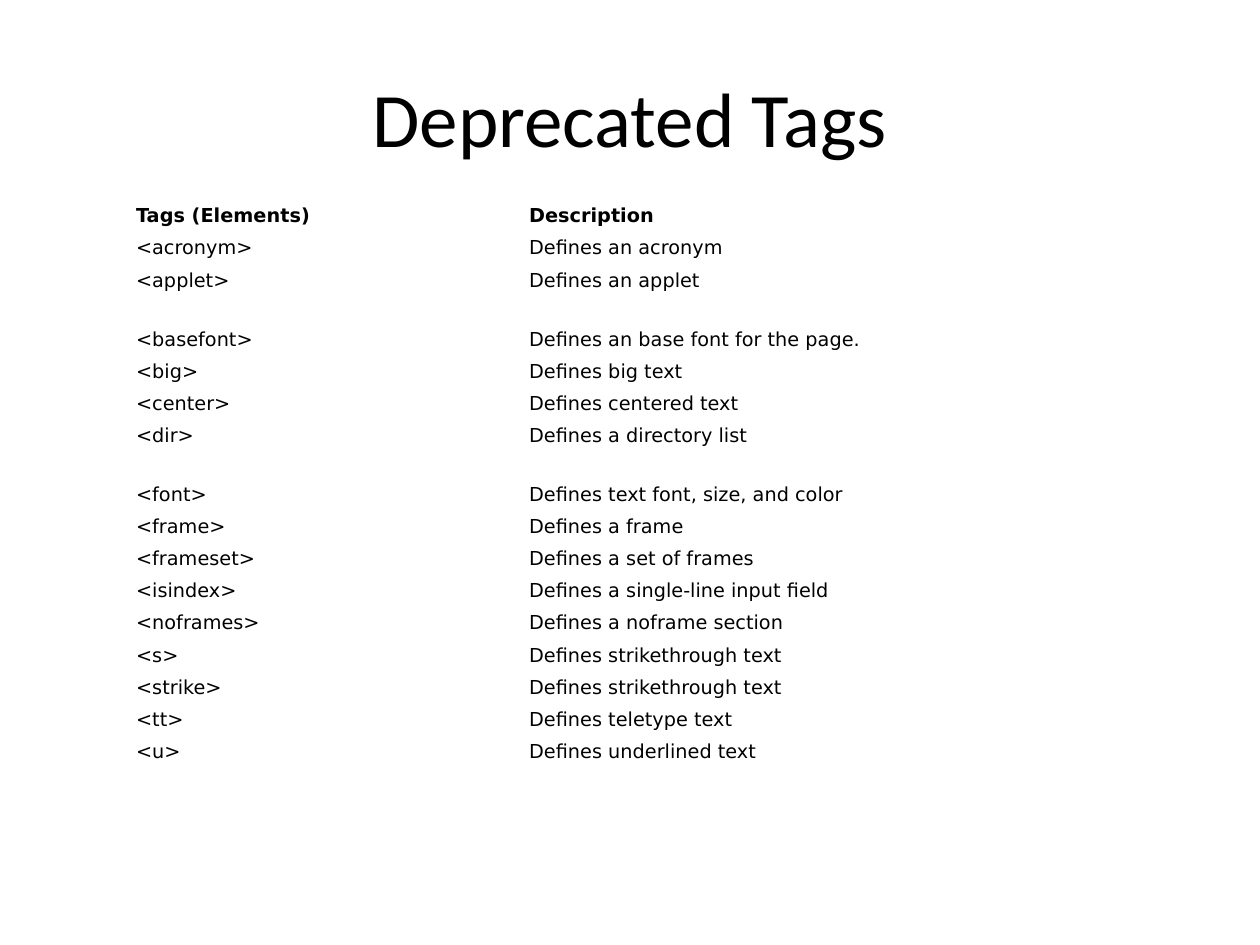
"""Build the slide that lists deprecated HTML tags."""
from dataclasses import dataclass

from pptx import Presentation
from pptx.dml.color import RGBColor
from pptx.enum.text import MSO_ANCHOR, PP_ALIGN
from pptx.util import Inches, Pt


@dataclass(frozen=True)
class Theme:
    text_color: RGBColor = RGBColor(0, 0, 0)
    background: RGBColor = RGBColor(255, 255, 255)
    title_font: str = "Calibri"
    title_size: int = 44
    table_font: str = "DejaVu Sans"
    table_size: int = 11
    cell_margin: float = 0.01


HEADER = ("Tags (Elements)", "Description")
TAGS = [
    ("<acronym>", "Defines an acronym"),
    ("<applet>", "Defines an applet"),
    ("<basefont>", "Defines an base font for the page."),
    ("<big>", "Defines big text"),
    ("<center>", "Defines centered text"),
    ("<dir>", "Defines a directory list"),
    ("<font>", "Defines text font, size, and color"),
    ("<frame>", "Defines a frame"),
    ("<frameset>", "Defines a set of frames"),
    ("<isindex>", "Defines a single-line input field"),
    ("<noframes>", "Defines a noframe section"),
    ("<s>", "Defines strikethrough text"),
    ("<strike>", "Defines strikethrough text"),
    ("<tt>", "Defines teletype text"),
    ("<u>", "Defines underlined text"),
]
GROUP_STARTS = ("<basefont>", "<font>")
GROUP_START_WEIGHT = 1.84


class SlideBuilder:
    GRID_COLUMNS = 100
    GRID_ROWS = 100

    def __init__(self, presentation, theme):
        self.theme = theme
        self.column = presentation.slide_width / self.GRID_COLUMNS
        self.row = presentation.slide_height / self.GRID_ROWS
        self.slide = presentation.slides.add_slide(presentation.slide_layouts[5])
        fill = self.slide.background.fill
        fill.solid()
        fill.fore_color.rgb = theme.background

    def box(self, left, top, width, height):
        return (round(left * self.column), round(top * self.row),
                round(width * self.column), round(height * self.row))

    def style_text(self, text_frame, font_name, size, bold=False):
        for paragraph in text_frame.paragraphs:
            for run in paragraph.runs:
                run.font.name = font_name
                run.font.size = Pt(size)
                run.font.bold = bold
                run.font.color.rgb = self.theme.text_color

    def add_title(self, text, *position):
        title = self.slide.shapes.title
        title.left, title.top, title.width, title.height = self.box(*position)
        text_frame = title.text_frame
        text_frame.text = text
        text_frame.vertical_anchor = MSO_ANCHOR.MIDDLE
        text_frame.paragraphs[0].alignment = PP_ALIGN.CENTER
        self.style_text(text_frame, self.theme.title_font, self.theme.title_size)

    def add_table(self, rows, row_weights, column_widths, left, top, height):
        position = self.box(left, top, sum(column_widths), height)
        table = self.slide.shapes.add_table(
            len(rows), len(column_widths), *position).table
        table.first_row = table.horz_banding = False
        for column, width in zip(table.columns, column_widths):
            column.width = round(width * self.column)
        row_unit = height * self.row / sum(row_weights)
        for row_index, (texts, weight) in enumerate(zip(rows, row_weights)):
            table.rows[row_index].height = round(weight * row_unit)
            for column_index, text in enumerate(texts):
                self.fill_cell(table.cell(row_index, column_index), text,
                               bold=row_index == 0)

    def fill_cell(self, cell, text, bold):
        margin = Inches(self.theme.cell_margin)
        cell.margin_left = cell.margin_top = cell.margin_right = margin
        cell.margin_bottom = 0
        cell.vertical_anchor = MSO_ANCHOR.BOTTOM
        cell.fill.background()
        cell.text_frame.text = text
        self.style_text(cell.text_frame, self.theme.table_font,
                        self.theme.table_size, bold)


def main():
    presentation = Presentation()
    presentation.slide_width = Inches(10)
    presentation.slide_height = Inches(7.5)
    builder = SlideBuilder(presentation, Theme())
    builder.add_title("Deprecated Tags", 5, 4, 90, 16.67)
    rows = [HEADER, *TAGS]
    row_weights = [GROUP_START_WEIGHT if tag in GROUP_STARTS else 1
                   for tag, _ in rows]
    builder.add_table(rows, row_weights, (31.2, 32.4),
                      left=10.7, top=20.67, height=60.13)
    presentation.save("out.pptx")


if __name__ == "__main__":
    main()
